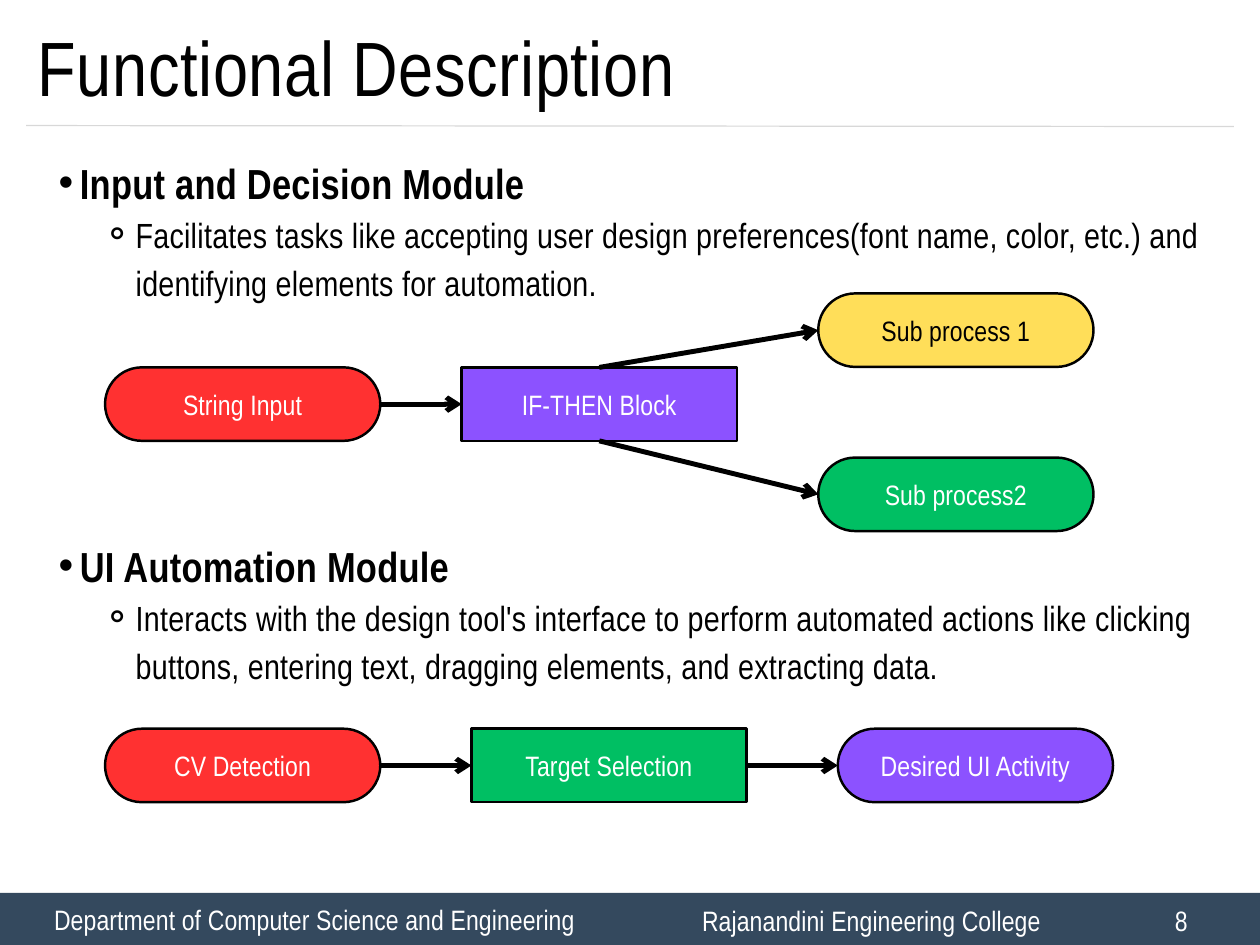
import lxml.etree
import pptx
import pptx.dml.color
import pptx.enum.shapes
import pptx.enum.text
import pptx.oxml.ns
import pptx.util

Cm, Pt = pptx.util.Cm, pptx.util.Pt
qn = pptx.oxml.ns.qn
SHAPE = pptx.enum.shapes.MSO_SHAPE
ALIGN = pptx.enum.text.PP_ALIGN
ANCHOR = pptx.enum.text.MSO_ANCHOR
COLORS = {"bar": "34495E", "rule": "D8D8D8", "black": "000000", "white": "FFFFFF",
          "red": "FF3131", "violet": "8C52FF", "yellow": "FFDE59", "green": "00BF63"}
FONT = "Arial Narrow"
LABEL = {"size": Pt(17.1), "bold": False}
HEADING = {"size": Pt(25.6), "bold": True}
DETAIL = {"size": Pt(21.3), "bold": False}
TITLE = {"size": Pt(46.9), "bold": False}
NODE_W, NODE_H = 5.92, 1.58
TOP, LEFT, BOTTOM, RIGHT = range(4)


def rgb(name):
    """Return the named colour."""
    return pptx.dml.color.RGBColor.from_string(COLORS[name])


def apply(obj, values):
    """Set each attribute of an object from a dict."""
    for name, value in values.items():
        setattr(obj, name, value)


def frame(tf, inset=0.15, anchor=ANCHOR.MIDDLE):
    """Format a text frame with equal insets."""
    sides = ("margin_left", "margin_top", "margin_right", "margin_bottom")
    apply(tf, {"word_wrap": True, "auto_size": pptx.enum.text.MSO_AUTO_SIZE.NONE,
               "vertical_anchor": anchor, **dict.fromkeys(sides, Cm(inset))})


def write(p, text, font, color="black", leading=20.5, spacing=10, **layout):
    """Fill a paragraph with one formatted run."""
    apply(p, {"line_spacing": Pt(leading), "space_before": Pt(0), **layout})
    r = p.add_run()
    r.text = text
    apply(r.font, {"name": FONT, **font})
    r.font.color.rgb = rgb(color)
    r._r.get_or_add_rPr().set("spc", str(spacing))


def add_box(slide, kind, box, fill, line=None):
    """Add a filled shape without shadow."""
    sp = slide.shapes.add_shape(kind, *map(Cm, box))
    sp.shadow.inherit = False
    sp.fill.solid()
    sp.fill.fore_color.rgb = rgb(fill)
    if line:
        sp.line.color.rgb = rgb(line)
        sp.line.width = Pt(1.5)
    else:
        sp.line.fill.background()
    frame(sp.text_frame)
    return sp


def add_line(slide, ends, color, width):
    """Add a straight connector without shadow."""
    cxn = slide.shapes.add_connector(pptx.enum.shapes.MSO_CONNECTOR.STRAIGHT, *map(Cm, ends))
    cxn.line.color.rgb = rgb(color)
    cxn.line.width = Pt(width)
    lxml.etree.SubElement(cxn.element.spPr, qn("a:effectLst"))
    return cxn


def add_node(slide, left, top, text, fill, rounded=True, color="white"):
    """Add a labelled flow step."""
    kind = SHAPE.ROUNDED_RECTANGLE if rounded else SHAPE.RECTANGLE
    sp = add_box(slide, kind, (left, top, NODE_W, NODE_H), fill, "black")
    if rounded:
        sp.adjustments[0] = 0.5
    write(sp.text_frame.paragraphs[0], text, LABEL, color, alignment=ALIGN.CENTER)
    return sp


def add_arrow(slide, source, target, side=RIGHT):
    """Join a step to the left side of the next one."""
    cxn = add_line(slide, (0, 0, 1, 1), "black", 3)
    cxn.begin_connect(source, side)
    cxn.end_connect(target, LEFT)
    lxml.etree.SubElement(cxn.line._get_or_add_ln(), qn("a:tailEnd"), type="arrow")


def add_title(slide, left, top, width, height):
    """Place the title and the rule below it."""
    sp = slide.shapes.title
    apply(sp, dict(zip(("left", "top", "width", "height"),
                       map(Cm, (left, top, width, height)))))
    frame(sp.text_frame, 0, ANCHOR.TOP)
    write(sp.text_frame.paragraphs[0], "Functional Description", TITLE,
          leading=56.3, spacing=40, alignment=ALIGN.LEFT)
    rule = top + height + 0.13
    add_line(slide, (left - 0.25, rule, left + width + 0.28, rule + 0.02), "rule", 0.75)


def add_modules(slide, left, top, width, height):
    """List each module with its description."""
    modules = (
        ("Input and Decision Module", 0,
         "Facilitates tasks like accepting user design preferences(font name, color, etc.) "
         "and identifying elements for automation."),
        ("UI Automation Module", 140,
         "Interacts with the design tool's interface to perform automated actions like "
         "clicking buttons, entering text, dragging elements, and extracting data."))
    tf = slide.shapes.add_textbox(*map(Cm, (left, top, width, height))).text_frame
    frame(tf, 0, ANCHOR.TOP)
    rows = []
    for heading, gap, detail in modules:
        rows += [(heading, HEADING, 35, gap, 1, 0.91, 0.46, "•"),
                 (detail, DETAIL, 29.2, 0, 2, 2.11, 0.71, "⚬")]
    for i, (text, font, leading, gap, level, margin, hang, bullet) in enumerate(rows):
        p = tf.add_paragraph() if i else tf.paragraphs[0]
        write(p, text, font, leading=leading, spacing=20, space_before=Pt(gap), level=level)
        pPr = p._p.get_or_add_pPr()
        pPr.set("marL", str(Cm(margin)))
        pPr.set("indent", str(-Cm(hang)))
        lxml.etree.SubElement(pPr, qn("a:buFont"), typeface="Arial")
        lxml.etree.SubElement(pPr, qn("a:buChar"), char=bullet)


def add_decision_flow(slide, left, top, pitch):
    """Draw the input, the decision and its two branches."""
    source = add_node(slide, left, top + 1.59, "String Input", "red")
    block = add_node(slide, left + pitch, top + 1.59, "IF-THEN Block", "violet", rounded=False)
    first = add_node(slide, left + 2 * pitch, top, "Sub process 1", "yellow", color="black")
    second = add_node(slide, left + 2 * pitch, top + 3.53, "Sub process2", "green")
    add_arrow(slide, source, block)
    add_arrow(slide, block, first, TOP)
    add_arrow(slide, block, second, BOTTOM)


def add_automation_flow(slide, left, top, pitch):
    """Draw the automation steps in a row."""
    steps = (("CV Detection", "red", True), ("Target Selection", "green", False),
             ("Desired UI Activity", "violet", True))
    nodes = [add_node(slide, left + i * pitch, top, *step) for i, step in enumerate(steps)]
    for source, target in zip(nodes, nodes[1:]):
        add_arrow(slide, source, target)


def add_footer(slide, left, top, width, height):
    """Draw the two halves of the footer bar."""
    half = width / 2
    sp = add_box(slide, SHAPE.RECTANGLE, (left, top, half, height), "bar")
    write(sp.text_frame.paragraphs[0], "Department of Computer Science and Engineering",
          LABEL, "white", alignment=ALIGN.CENTER)
    sp = add_box(slide, SHAPE.RECTANGLE, (left + half, top, half, height + 0.04), "bar")
    sp.text_frame.margin_left = Cm(1.55)
    p = sp.text_frame.paragraphs[0]
    write(p, "Rajanandini Engineering College\t8", LABEL, "white", alignment=ALIGN.LEFT)
    tabs = lxml.etree.SubElement(p._p.get_or_add_pPr(), qn("a:tabLst"))
    lxml.etree.SubElement(tabs, qn("a:tab"), pos=str(Cm(10.17)), algn="l")


def main():
    """Build and save the slide."""
    prs = pptx.Presentation()
    prs.slide_width, prs.slide_height = Cm(27.1), Cm(20.32)
    slide = prs.slides.add_slide(prs.slide_layouts[5])
    add_footer(slide, 0, 19.2, 27.1, 1.12)
    add_modules(slide, 0.81, 3.23, 25.45, 13.74)
    add_title(slide, 0.81, 0.41, 25.45, 2.16)
    add_decision_flow(slide, 2.26, 6.31, 7.67)
    add_automation_flow(slide, 2.26, 15.67, 7.88)
    prs.save("out.pptx")


if __name__ == "__main__":
    main()
